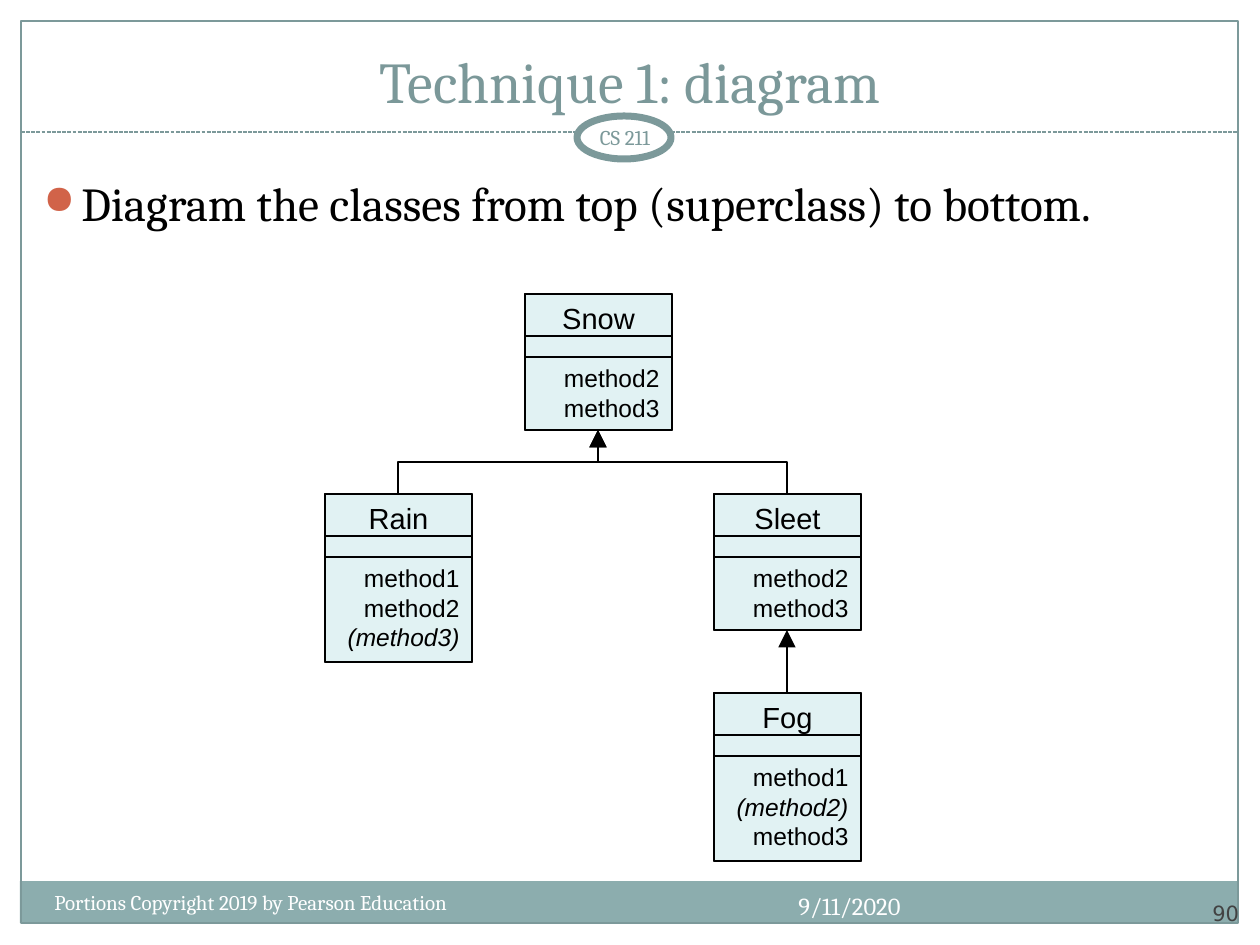
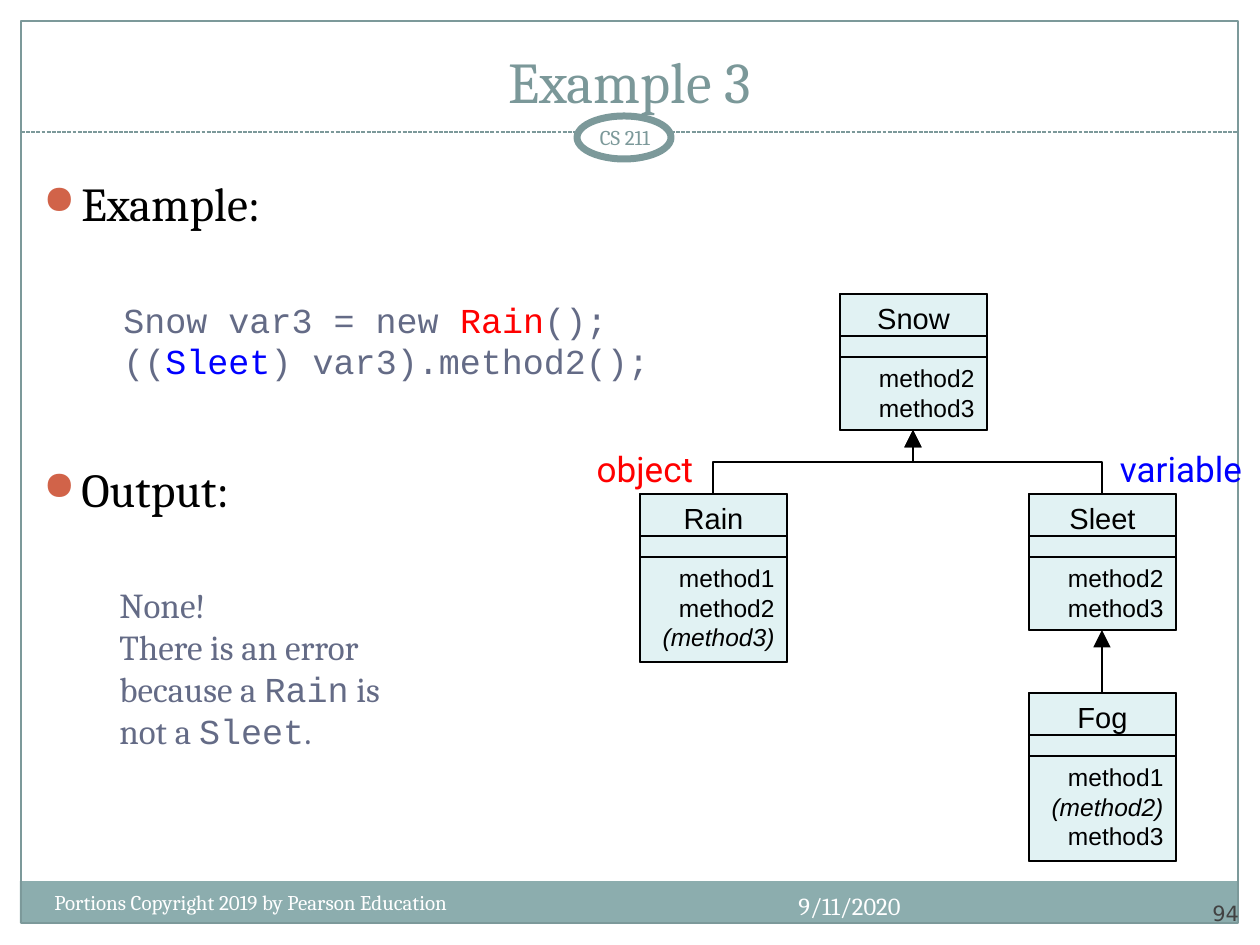
import pptx
import pptx.util
import pptx.dml.color
import pptx.enum.dml
import pptx.enum.shapes
import pptx.enum.text
import pptx.oxml.ns
import lxml.etree

SCALE = 914400 / 126
HUES = {
    "white": "FFFFFF", "black": "000000", "band": "8CADAE", "rule": "7C999A",
    "title": "7B9899", "page": "424242", "dot": "D16349", "class": "E1F2F3",
    "code": "646B86", "red": "FF0000", "blue": "0000FF",
}
RGB = {name: pptx.dml.color.RGBColor.from_string(hue) for name, hue in HUES.items()}
KIND = pptx.enum.shapes.MSO_SHAPE
LINK = pptx.enum.shapes.MSO_CONNECTOR
ALIGN = pptx.enum.text.PP_ALIGN
EDGE = pptx.enum.text.MSO_ANCHOR
SERIF, SANS, MONO = "Cambria", "Arial", "Courier New"


def add(shapes, at, fill=None, line=None, kind=KIND.RECTANGLE, width=0.75):
    at = [round(n * SCALE) for n in at]
    if not fill and not line:
        return shapes.add_textbox(*at)
    shape = shapes.add_shape(kind, *at)
    shape.shadow.inherit = False
    if fill:
        shape.fill.solid()
        shape.fill.fore_color.rgb = RGB[fill]
    else:
        shape.fill.background()
    if line:
        shape.line.color.rgb = RGB[line]
        shape.line.width = pptx.util.Pt(width)
    else:
        shape.line.fill.background()
    return shape


def write(shape, text, size, font, hue, align=ALIGN.LEFT, edge=EDGE.TOP, pad=None):
    frame = shape.text_frame
    frame.word_wrap = True
    frame.vertical_anchor = edge
    if pad is not None:
        frame.margin_left = frame.margin_right = round(pad * SCALE)
        frame.margin_top = frame.margin_bottom = round(pad * SCALE)
    frame.text = text
    for para in frame.paragraphs:
        para.alignment = align
        for run in para.runs:
            run.font.size = pptx.util.Pt(size)
            run.font.name = font
            run.font.color.rgb = RGB[hue]
            if font == SANS and run.text.startswith("("):
                run.font.italic = True


TREE = [
    ("Snow", 525, 294, 73, "method2\nmethod3"),
    ("Rain", 325, 494, 105, "method1\nmethod2\n(method3)"),
    ("Fog", 714, 693, 105, "method1\n(method2)\nmethod3"),
    ("Sleet", 714, 494, 73, "method2\nmethod3"),
]
WIDE = 147
TOP = {name: (left + WIDE // 2, top) for name, left, top, deep, text in TREE}
BASE = {name: (left + WIDE // 2, top + 63 + deep) for name, left, top, deep, text in TREE}

INTRO = [("dot", 0, [("Diagram the classes from top (superclass) to bottom.", SERIF, "black")])]
CASE = [
    ("dot", 0, [("Example:", SERIF, "black")]),
    ("code", 43, [("Snow var3 = new ", MONO, "code"), ("Rain", MONO, "red"), ("();", MONO, "code")]),
    ("code", 4.5, [("((", MONO, "code"), ("Sleet", MONO, "blue"), (") var3).method2();", MONO, "code")]),
    ("dot", 45, [("Output:", SERIF, "black")]),
    ("prose", 43, [("None!", SERIF, "code")]),
    ("prose", 4.7, [("There is an error", SERIF, "code")]),
    ("prose", 4.7, [("because a ", SERIF, "code"), ("Rain", MONO, "code"), (" is", SERIF, "code")]),
    ("prose", 4.7, [("not a ", SERIF, "code"), ("Sleet", MONO, "code"), (".", SERIF, "code")]),
]
STYLE = {"dot": (38, -38, 27, 1.0), "code": (80, 0, 20, 0.8), "prose": (76, 0, 20, 0.8)}
TAGS = [("object", 577, 136, "red"), ("variable", 1102, 158, "blue")]
PAGES = [
    ("Technique 1: diagram", "90", INTRO, 0, []),
    ("Example 3", "94", CASE, 315, TAGS),
]

deck = pptx.Presentation()
deck.slide_width = round(1260 * SCALE)
deck.slide_height = round(945 * SCALE)

for title, page, body, shift, tags in PAGES:
    shapes = deck.slides.add_slide(deck.slide_layouts[6]).shapes

    add(shapes, (20, 881, 1217, 42), "band")
    add(shapes, (21, 21, 1217, 902), None, "rule")
    rule = shapes.add_connector(LINK.STRAIGHT, *[round(n * SCALE) for n in (21, 132, 1238, 132)])
    rule.line.color.rgb = RGB["rule"]
    rule.line.width = pptx.util.Pt(0.75)
    rule.line.dash_style = pptx.enum.dml.MSO_LINE.SQUARE_DOT
    lxml.etree.SubElement(rule._element.spPr, pptx.oxml.ns.qn("a:effectLst"))
    add(shapes, (577, 116, 94, 43), "white", "rule", KIND.OVAL, 4)
    write(add(shapes, (1134, 876, 105, 50)), page, 12, "DejaVu Sans", "page", ALIGN.RIGHT, EDGE.BOTTOM, 0)
    write(add(shapes, (42, 32, 1176, 89)), title, 33, SERIF, "title", ALIGN.CENTER, EDGE.BOTTOM)

    frame = add(shapes, (31, 168, 1197, 703)).text_frame
    frame.word_wrap = True
    for rank, (style, gap, runs) in enumerate(body):
        para = frame.add_paragraph() if rank else frame.paragraphs[0]
        inset, hang, size, pitch = STYLE[style]
        props = para._p.get_or_add_pPr()
        props.set("marL", str(round(inset * SCALE)))
        props.set("indent", str(round(hang * SCALE)))
        if style == "dot":
            tint = lxml.etree.SubElement(props, pptx.oxml.ns.qn("a:buClr"))
            lxml.etree.SubElement(tint, pptx.oxml.ns.qn("a:srgbClr"), val=HUES["dot"])
            lxml.etree.SubElement(props, pptx.oxml.ns.qn("a:buSzPct"), val="85000")
            lxml.etree.SubElement(props, pptx.oxml.ns.qn("a:buChar"), char="●")
        para.line_spacing = pitch
        para.space_before = pptx.util.Pt(gap)
        for text, font, hue in runs:
            run = para.add_run()
            run.text = text
            run.font.size = pptx.util.Pt(size)
            run.font.name = font
            run.font.color.rgb = RGB[hue]

    for name, left, top, deep, text in TREE:
        left += shift
        group = shapes.add_group_shape().shapes
        add(group, (left, top, WIDE, 63 + deep), "class", "black")
        head = add(group, (left, top, WIDE, 42), "class", "black")
        write(head, name, 16.6, SANS, "black", ALIGN.CENTER)
        part = add(group, (left, top + 63, WIDE, deep), "class", "black")
        write(part, text, 14, SANS, "black", ALIGN.RIGHT)

    for child, parent in [("Sleet", "Snow"), ("Rain", "Snow"), ("Fog", "Sleet")]:
        (x1, y1), (x2, y2) = TOP[child], BASE[parent]
        bent = x1 != x2
        ends = (x1 + shift, y1, x2 + shift, y2)
        if bent:
            midx, midy = (x1 + x2) / 2 + shift, (y1 + y2) / 2
            halfx, halfy = (x1 - x2) / 2, (y1 - y2) / 2
            ends = (midx - halfy, midy + halfx, midx + halfy, midy - halfx)
        link = shapes.add_connector(LINK.ELBOW if bent else LINK.STRAIGHT, *[round(n * SCALE) for n in ends])
        if bent:
            link._element.spPr.xfrm.set("rot", str(270 * 60000))
        link.line.color.rgb = RGB["black"]
        link.line.width = pptx.util.Pt(0.75)
        tip = link.line._get_or_add_ln()
        lxml.etree.SubElement(tip, pptx.oxml.ns.qn("a:tailEnd"), type="triangle", w="lg", len="lg")
        lxml.etree.SubElement(link._element.spPr, pptx.oxml.ns.qn("a:effectLst"))

    for text, left, wide, hue in tags:
        write(add(shapes, (left, 441, wide, 55)), text, 20, "Roboto", hue, ALIGN.CENTER)

    write(add(shapes, (704, 885, 209, 50)), "9/11/2020", 14, SERIF, "white", ALIGN.RIGHT)
    write(add(shapes, (42, 883, 514, 50)), "Portions Copyright 2019 by Pearson Education", 12, SERIF, "white")
    write(add(shapes, (567, 116, 116, 42)), "CS 211", 12, SERIF, "rule", ALIGN.CENTER, EDGE.MIDDLE, 6)

deck.save("out.pptx")
